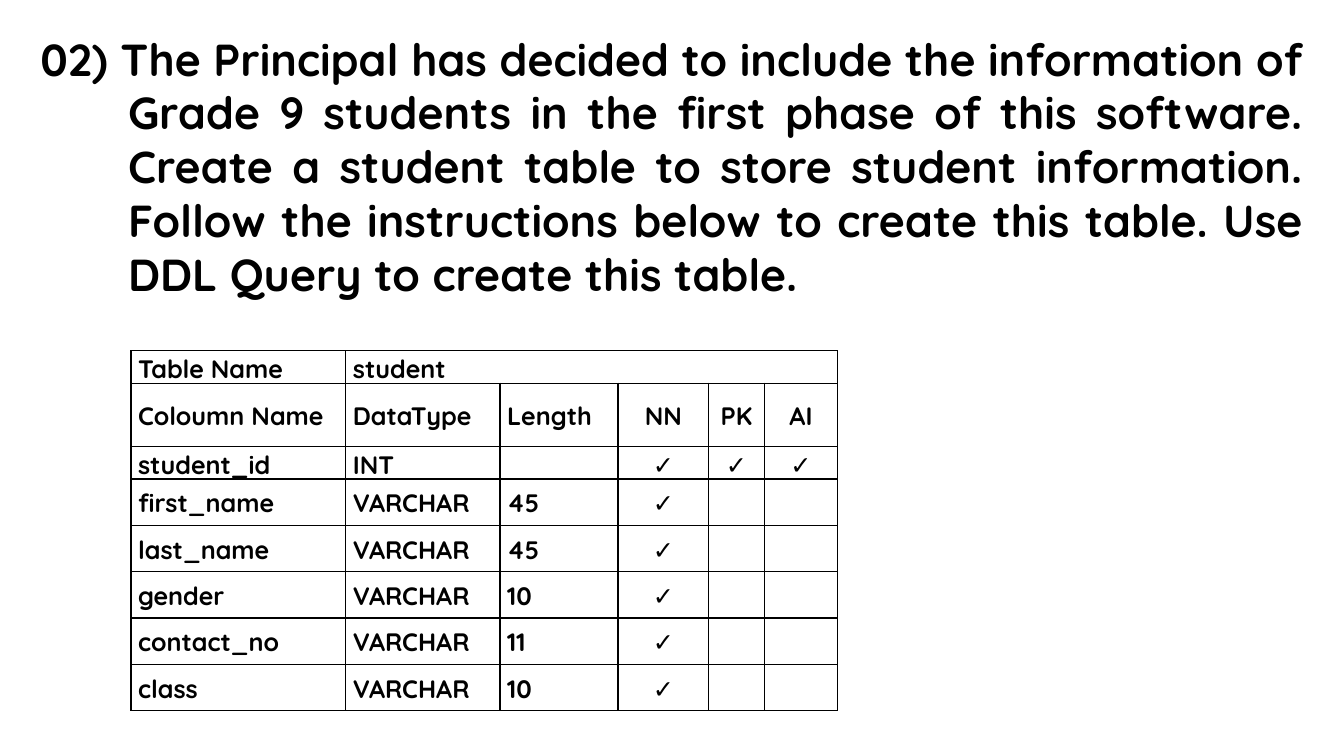
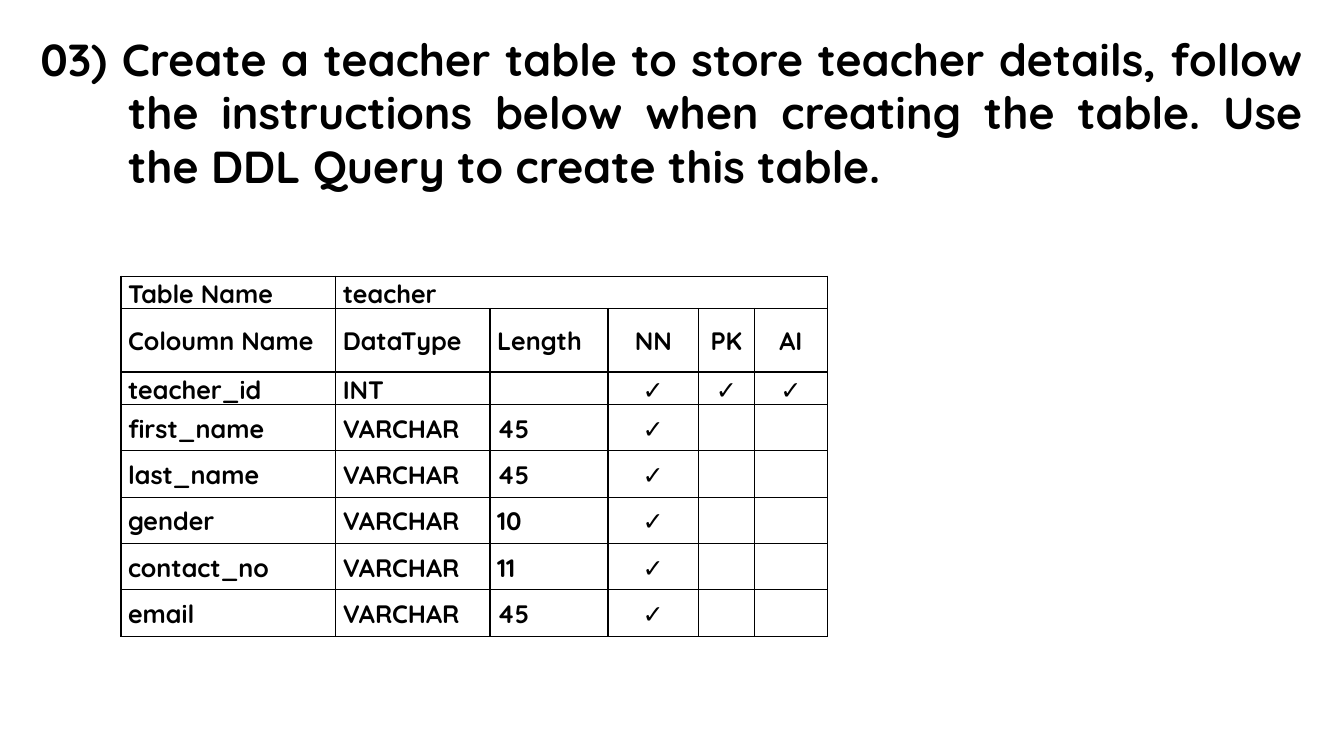
from lxml.etree import SubElement
from pptx import Presentation
from pptx.dml.color import RGBColor
from pptx.enum.text import MSO_ANCHOR, MSO_AUTO_SIZE, PP_ALIGN
from pptx.oxml.ns import qn
from pptx.util import Inches, Pt

BLACK = RGBColor(0x00, 0x00, 0x00)
WHITE = RGBColor(0xFF, 0xFF, 0xFF)
FONT_NAME = "Quicksand"
CHECK = "✓"
COLUMN_WIDTHS = [2.13, 1.53, 1.17, 0.9, 0.55, 0.73]
ROW_HEIGHTS = [0.3, 0.63, 0.3] + [0.46] * 5
HEADINGS = ["Coloumn Name", "DataType", "Length", "NN", "PK", "AI"]
FIRST_CENTERED_COLUMN = 3
CELL_FORMAT = {
    "margin_left": Inches(0.07),
    "margin_right": Inches(0.07),
    "margin_top": 0,
    "margin_bottom": 0,
    "vertical_anchor": MSO_ANCHOR.MIDDLE,
}
CELL_PARAGRAPH_FORMAT = {"line_spacing": 1.07, "space_after": Pt(8)}
TITLE_FRAME_FORMAT = {
    "word_wrap": True,
    "auto_size": MSO_AUTO_SIZE.SHAPE_TO_FIT_TEXT,
    "vertical_anchor": MSO_ANCHOR.TOP,
}
SHARED_FIELDS = [
    ("first_name", 45),
    ("last_name", 45),
    ("gender", 10),
    ("contact_no", 11),
]
QUESTIONS = [
    {
        "title": "02) The Principal has decided to include the information of Grade 9 students "
                 "in the first phase of this software. Create a student table to store student "
                 "information. Follow the instructions below to create this table. Use DDL Query "
                 "to create this table.",
        "title_height": 2.79,
        "table_name": "student",
        "table_position": (1.3, 3.48),
        "last_field": ("class", 10),
    },
    {
        "title": "03) Create a teacher table to store teacher details, follow the instructions "
                 "below when creating the table. Use the DDL Query to create this table.",
        "title_height": 1.72,
        "table_name": "teacher",
        "table_position": (1.2, 2.74),
        "last_field": ("email", 45),
    },
]


def format_text(paragraph, size, alignment):
    paragraph.alignment = alignment
    font_format = {"name": FONT_NAME, "size": Pt(size), "bold": True}
    for name, value in font_format.items():
        setattr(paragraph.font, name, value)
    for run in paragraph.runs:
        for name, value in font_format.items():
            setattr(run.font, name, value)
        run.font.color.rgb = BLACK


def add_borders(cell):
    properties = cell._tc.get_or_add_tcPr()
    for side in ("lnL", "lnR", "lnT", "lnB"):
        line = SubElement(properties, qn(f"a:{side}"), w=str(Pt(1)))
        fill = SubElement(line, qn("a:solidFill"))
        SubElement(fill, qn("a:srgbClr"), val=str(BLACK))


presentation = Presentation()
presentation.slide_width = Inches(13.33)
presentation.slide_height = Inches(7.5)
title_only_layout = presentation.slide_layouts[5]
background = presentation.slide_master.background.fill
background.solid()
background.fore_color.rgb = WHITE

for question in QUESTIONS:
    slide = presentation.slides.add_slide(title_only_layout)

    title = slide.shapes.title
    title.left, title.top = Inches(0.3), Inches(0.26)
    title.width, title.height = Inches(12.73), Inches(question["title_height"])
    title.text_frame.text = question["title"]
    for name, value in TITLE_FRAME_FORMAT.items():
        setattr(title.text_frame, name, value)
    paragraph = title.text_frame.paragraphs[0]
    format_text(paragraph, 32, PP_ALIGN.JUSTIFY)
    paragraph_properties = paragraph._p.get_or_add_pPr()
    paragraph_properties.set("marL", str(Inches(0.87)))
    paragraph_properties.set("indent", str(Inches(-0.87)))

    table_name = question["table_name"]
    rows = [
        ["Table Name", table_name, "", "", "", ""],
        HEADINGS,
        [f"{table_name}_id", "INT", "", CHECK, CHECK, CHECK],
    ]
    for field, length in SHARED_FIELDS + [question["last_field"]]:
        rows.append([field, "VARCHAR", str(length), CHECK, "", ""])

    left, top = question["table_position"]
    table = slide.shapes.add_table(
        len(rows), len(COLUMN_WIDTHS), Inches(left), Inches(top),
        Inches(sum(COLUMN_WIDTHS)), Inches(sum(ROW_HEIGHTS)),
    ).table
    table.first_row = False
    table.horz_banding = False
    for column, width in zip(table.columns, COLUMN_WIDTHS):
        column.width = Inches(width)
    for row, height in zip(table.rows, ROW_HEIGHTS):
        row.height = Inches(height)
    table.cell(0, 1).merge(table.cell(0, len(COLUMN_WIDTHS) - 1))

    for row_index, row_texts in enumerate(rows):
        for column_index, text in enumerate(row_texts):
            cell = table.cell(row_index, column_index)
            cell.text = text
            add_borders(cell)
            cell.fill.background()
            for name, value in CELL_FORMAT.items():
                setattr(cell, name, value)
            paragraph = cell.text_frame.paragraphs[0]
            for name, value in CELL_PARAGRAPH_FORMAT.items():
                setattr(paragraph, name, value)
            centered = column_index >= FIRST_CENTERED_COLUMN
            format_text(paragraph, 18, PP_ALIGN.CENTER if centered else PP_ALIGN.LEFT)

presentation.save("out.pptx")
